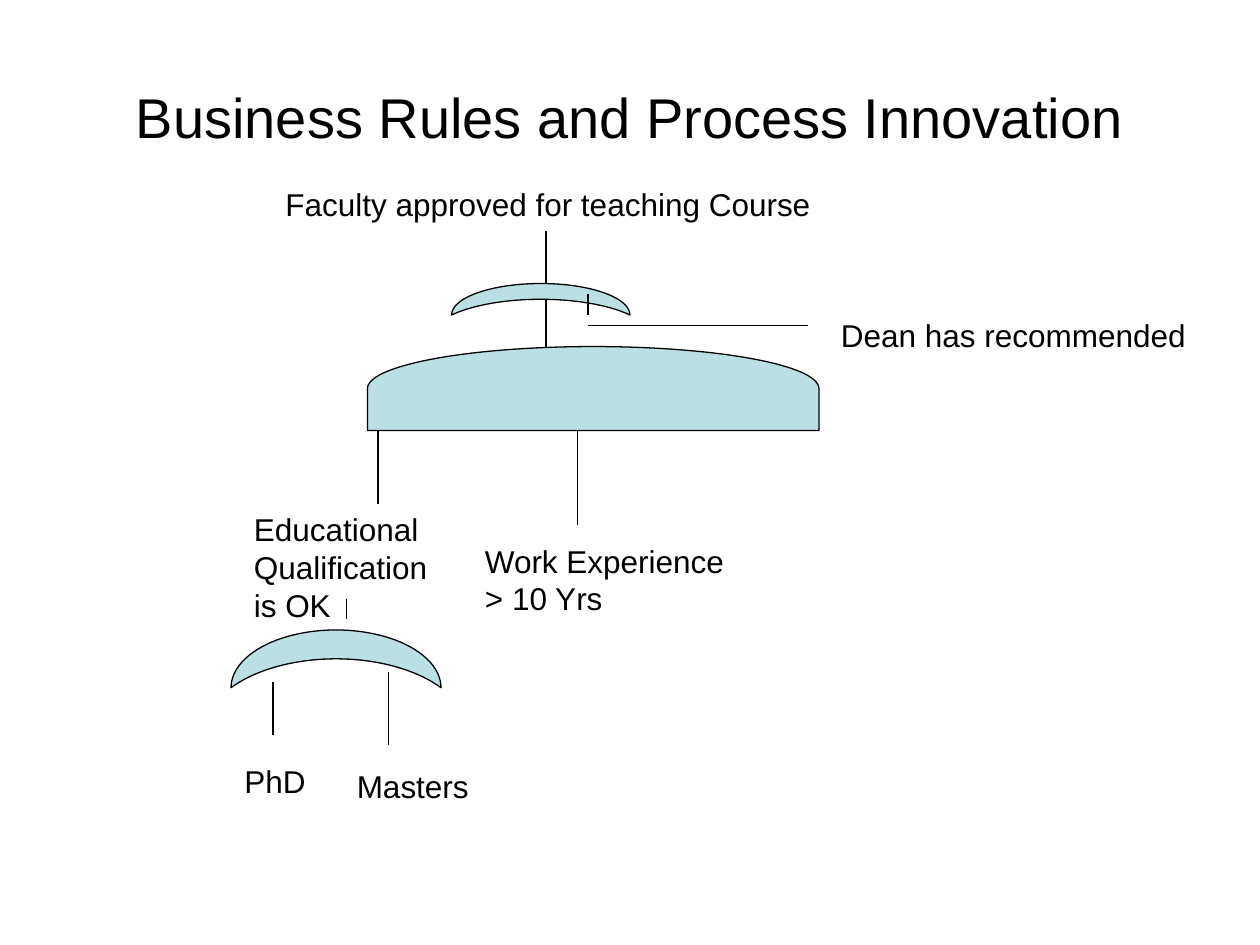
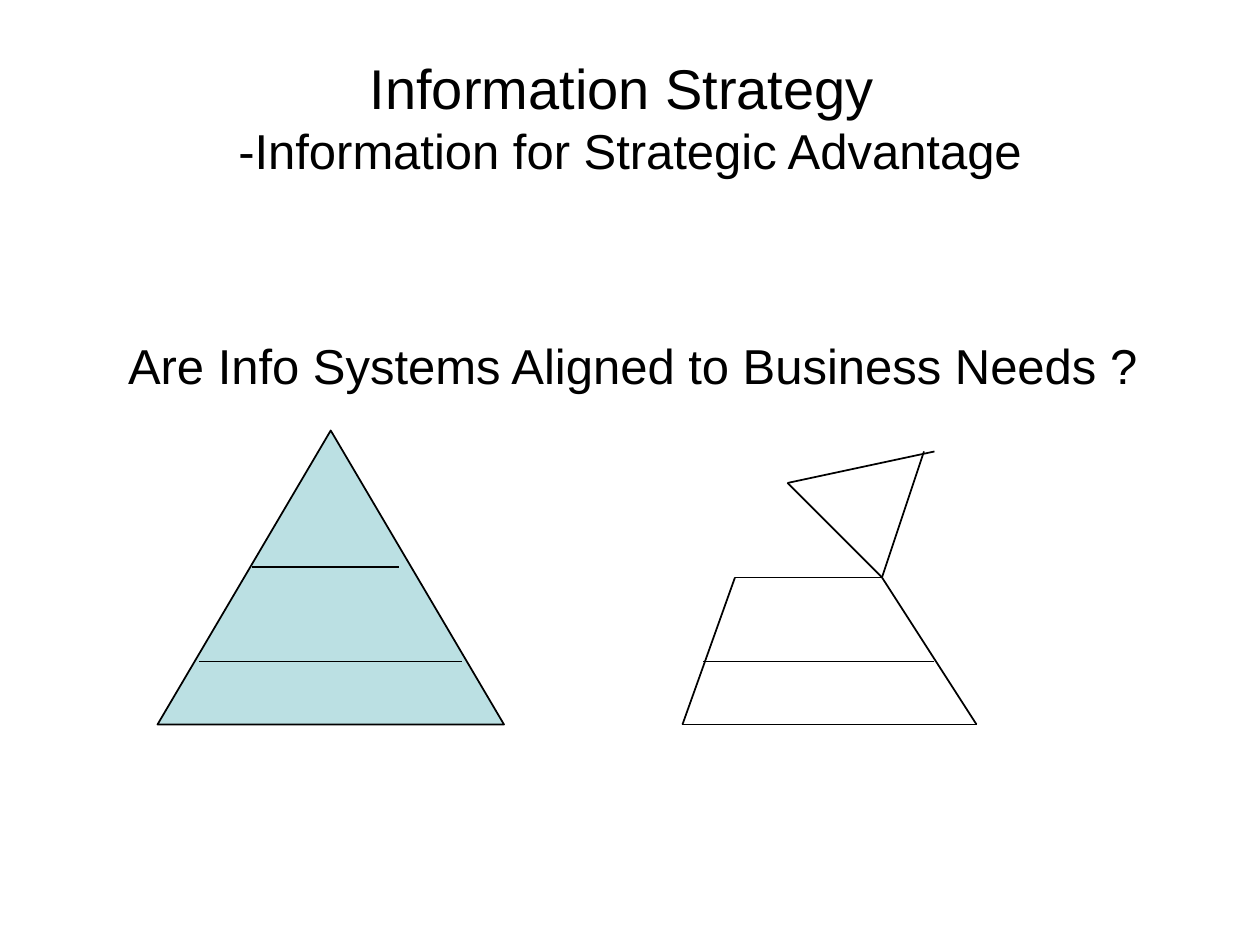
from lxml.etree import SubElement
from pptx import Presentation
from pptx.dml.color import RGBColor
from pptx.enum.shapes import MSO_CONNECTOR, MSO_SHAPE
from pptx.enum.text import MSO_ANCHOR, MSO_AUTO_SIZE, PP_ALIGN
from pptx.oxml.ns import qn
from pptx.util import Cm, Pt


def color(hex_string):
    return RGBColor.from_string(hex_string)


def grid(count):
    """Turn a count of twelfths of an inch into a length."""
    return Cm(2.54 * count / 12)


class SlideBuilder:
    FONT = "Arial"
    INK = "000000"
    FILL = "BBE0E3"
    TITLE_SIZE = 32
    SUBTITLE_SIZE = 28
    LABEL_SIZE = 18

    def __init__(self):
        self.deck = Presentation()
        self.deck.slide_width = Cm(25.4)
        self.deck.slide_height = Cm(19.05)
        title_style = "p:txStyles/p:titleStyle/a:lvl1pPr/a:defRPr"
        for defaults in self.deck.slide_master.element.xpath(title_style):
            defaults.set("sz", str(self.TITLE_SIZE * 100))

    def start_slide(self, layout_name, line_width):
        layout = self.deck.slide_layouts.get_by_name(layout_name)
        self.slide = self.deck.slides.add_slide(layout)
        self.line_width = line_width

    def place(self, shape, left, top, width, height):
        shape.left, shape.top = grid(left), grid(top)
        shape.width, shape.height = grid(width), grid(height)

    def format_runs(self, paragraph, *sizes):
        """Style the runs in order, one size for each."""
        for span, size in zip(paragraph.runs, sizes):
            span.font.name = self.FONT
            span.font.size = Pt(size)
            span.font.color.rgb = color(self.INK)

    def title(self, text):
        box = self.slide.shapes.title
        self.place(box, 6, 3.6, 108, 15)
        frame = box.text_frame
        frame.text = text
        frame.auto_size = MSO_AUTO_SIZE.NONE
        frame.vertical_anchor = MSO_ANCHOR.MIDDLE
        para = frame.paragraphs[0]
        para.alignment = PP_ALIGN.CENTER
        self.format_runs(para, self.TITLE_SIZE, self.SUBTITLE_SIZE)

    def body(self, text, *bounds):
        box = self.slide.placeholders[1]
        self.place(box, *bounds)
        frame = box.text_frame
        frame.text = text
        frame.auto_size = MSO_AUTO_SIZE.NONE
        para = frame.paragraphs[0]
        properties = para._p.get_or_add_pPr()
        properties.set("marL", str(Cm(0.95)))
        properties.set("indent", str(Cm(-0.95)))
        SubElement(properties, qn("a:buNone"))
        para.space_before = Pt(0)
        self.format_runs(para, self.SUBTITLE_SIZE)

    def label(self, text, left, top, width, height=4.8, wrap=False):
        box = self.slide.shapes.add_textbox(
            grid(left), grid(top), grid(width), grid(height))
        frame = box.text_frame
        frame.text = text
        frame.word_wrap = wrap
        for para in frame.paragraphs:
            self.format_runs(para, self.LABEL_SIZE)

    def shape(self, kind, left, top, width, height, rotation=0):
        """Draw a preset whose bounds are given as seen after a turn."""
        if rotation % 180:
            left += (width - height) / 2
            top += (height - width) / 2
            width, height = height, width
        shape = self.slide.shapes.add_shape(
            kind, grid(left), grid(top), grid(width), grid(height))
        shape.rotation = rotation
        shape.shadow.inherit = False
        shape.fill.solid()
        shape.fill.fore_color.rgb = color(self.FILL)
        self.outline(shape)

    def crescent(self, *bounds):
        self.shape(MSO_SHAPE.MOON, *bounds, rotation=90)

    def outline(self, shape):
        shape.line.color.rgb = color(self.INK)
        shape.line.width = Pt(self.line_width)

    def line(self, *ends):
        connector = self.slide.shapes.add_connector(
            MSO_CONNECTOR.STRAIGHT, *map(grid, ends))
        self.outline(connector)
        SubElement(connector._element.spPr, qn("a:effectLst"))

    def lines(self, *segments):
        for segment in segments:
            self.line(*segment)


def add_business_rules(builder):
    builder.start_slide("Title Only", line_width=0.75)
    builder.title("Business Rules and Process Innovation")

    builder.crescent(22, 60, 20, 5.5)
    builder.shape(MSO_SHAPE.FLOWCHART_DELAY, 35, 33, 43, 8, rotation=270)
    builder.lines(
        (52, 22, 52, 33),
        (36, 41, 36, 48),
        (55, 41, 55, 50),
        (26, 65, 26, 70),
        (37, 64, 37, 71),
        (33, 57, 33, 59),
    )
    builder.crescent(43, 27, 17, 3)
    builder.lines((56, 28, 56, 30), (56, 31, 77, 31))

    builder.label("Faculty approved for teaching Course", 26, 17, 52.4)
    builder.label("Educational Qualification is OK", 23, 48, 19, 12, wrap=True)
    builder.label("Work Experience\n> 10 Yrs", 45, 51, 26, 8.4)
    builder.label("PhD", 22.1, 72, 9)
    builder.label("Masters", 32.8, 72.5, 13.1)
    builder.label("Dean has recommended", 78.9, 29.5, 35.3)


def add_information_strategy(builder):
    builder.start_slide("Title and Content", line_width=1)
    builder.title("Information Strategy \v-Information for Strategic Advantage")
    builder.paragraph_top = 31
    builder.body("Are Info Systems Aligned to Business Needs ?", 11, 31.4, 99, 49)

    builder.shape(MSO_SHAPE.ISOSCELES_TRIANGLE, 15, 41, 33, 28)
    builder.lines((19, 63, 44, 63), (24, 55, 24, 55), (24, 54, 38, 54))

    base_left, base_right = (65, 69), (93, 69)
    top_left, hinge = (70, 55), (84, 55)
    tip = (75, 46)
    builder.lines(
        base_left + base_right,
        base_left + top_left,
        base_right + hinge,
        top_left + hinge,
        tip + hinge,
        tip + (89, 43),
        (88, 43) + hinge,
        (67, 63, 89, 63),
    )


def main():
    builder = SlideBuilder()
    add_business_rules(builder)
    add_information_strategy(builder)
    builder.deck.save("out.pptx")


if __name__ == "__main__":
    main()
